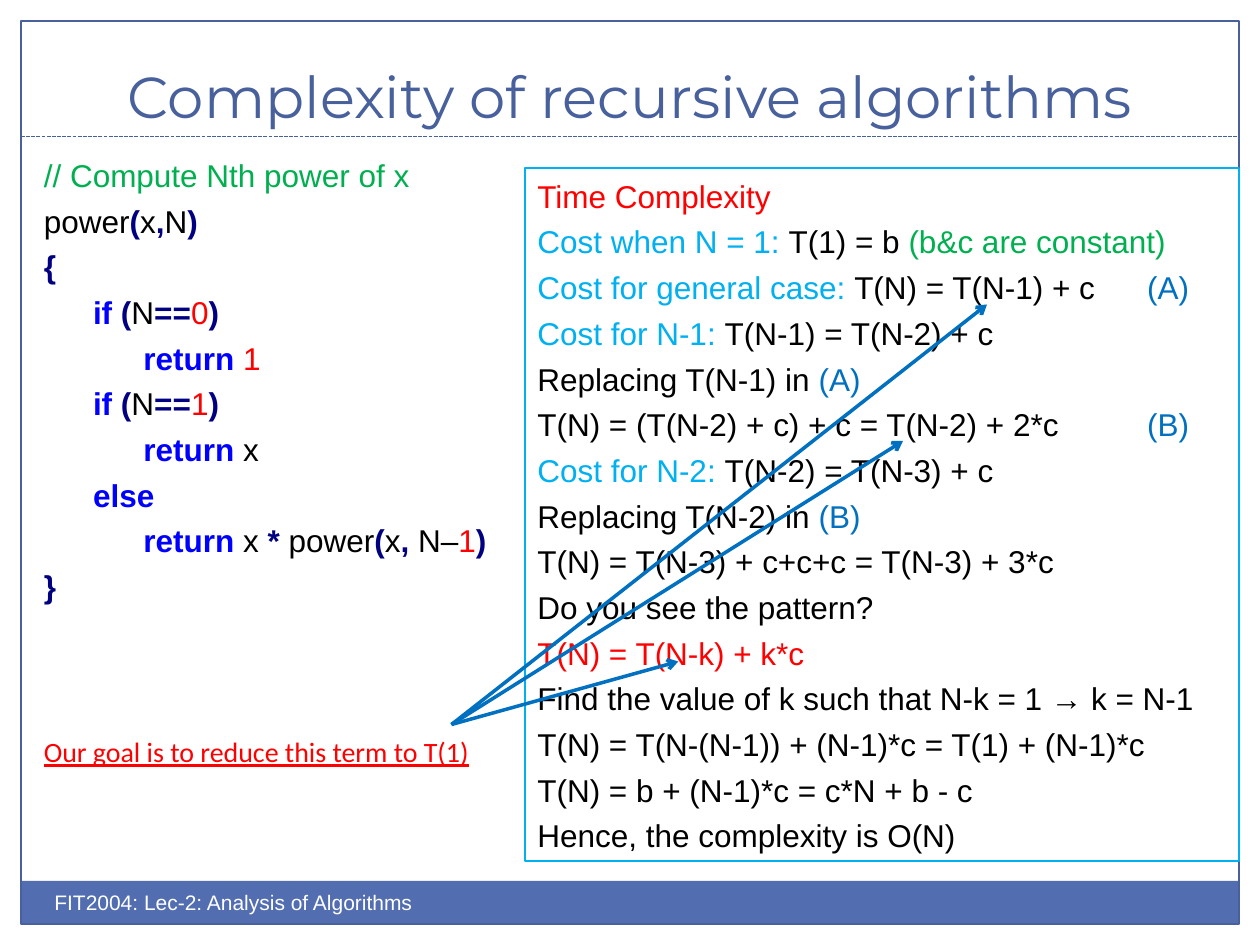
import pptx
import pptx.dml.color
import pptx.enum.dml
import pptx.enum.shapes
import pptx.enum.text
import pptx.oxml
import pptx.oxml.ns
import pptx.util

COLUMNS, ROWS = 120, 90  # twelve grid units to the inch
COLORS = {
    "frame": "48609B", "band": "526DB0", "white": "FFFFFF", "black": "000000",
    "green": "00B050", "red": "FF0000", "navy": "000080", "blue": "0000FF",
    "sky": "00B0F0", "ocean": "0070C0",
}
# Text roles: the format values of a run
FORMATS = {
    "title": {"name": "Montserrat", "size": 33, "color": "frame"},
    "footer": {"size": 12, "color": "white"},
    "goal": {"name": "Calibri", "size": 16, "color": "red", "underline": True},
    "plain": {"color": "black"},
    "comment": {"color": "green"},
    "number": {"color": "red"},
    "keyword": {"color": "blue", "bold": True},
    "symbol": {"color": "navy", "bold": True},
    "result": {"color": "red"},
    "label": {"color": "sky"},
    "tag": {"color": "ocean"},
}


class SlideBuilder:
    """Holds the style and the current slide; lengths are grid units."""

    def __init__(self, presentation):
        self.width = presentation.slide_width
        self.height = presentation.slide_height
        self.slide = presentation.slides.add_slide(presentation.slide_layouts[6])
        self.defaults = {"name": "Arial", "size": 18, "bold": False}

    def place(self, *lengths):
        scales = (self.width / COLUMNS, self.height / ROWS)
        return [round(length * scales[i % 2]) for i, length in enumerate(lengths)]

    def color(self, name):
        return pptx.dml.color.RGBColor.from_string(COLORS[name])

    def rectangle(self, area, fill=None, line=None):
        shape = self.slide.shapes.add_shape(
            pptx.enum.shapes.MSO_SHAPE.RECTANGLE, *self.place(*area))
        shape.shadow.inherit = False
        for part, name in ((shape.fill, fill), (shape.line.fill, line)):
            if name:
                part.solid()
                part.fore_color.rgb = self.color(name)
            else:
                part.background()
        if line:
            shape.line.width = pptx.util.Pt(0.75)
        return shape

    def line(self, start, end, color, width, dash=None, arrow=False):
        connector = self.slide.shapes.add_connector(
            pptx.enum.shapes.MSO_CONNECTOR.STRAIGHT, *self.place(*start, *end))
        connector.line.color.rgb = self.color(color)
        connector.line.width = pptx.util.Pt(width)
        if dash:
            connector.line.dash_style = dash
        properties = connector._element.spPr
        if arrow:
            properties.get_or_add_ln().append(pptx.oxml.parse_xml(
                f'<a:tailEnd {pptx.oxml.ns.nsdecls("a")} type="arrow"/>'))
        properties.append(pptx.oxml.parse_xml(
            f'<a:effectLst {pptx.oxml.ns.nsdecls("a")}/>'))

    def text_box(self, area, lines, **options):
        shape = self.slide.shapes.add_textbox(*self.place(*area))
        self.set_text(shape, lines, **options)

    def set_text(self, shape, lines, anchor="TOP", align="LEFT", top=0.05, tabs=()):
        frame = shape.text_frame
        values = {
            "word_wrap": True,
            "vertical_anchor": pptx.enum.text.MSO_ANCHOR[anchor],
            "margin_top": pptx.util.Inches(top),
        }
        for key, value in values.items():
            setattr(frame, key, value)
        for index, runs in enumerate(lines):
            paragraph = frame.add_paragraph() if index else frame.paragraphs[0]
            paragraph.alignment = pptx.enum.text.PP_ALIGN[align]
            if index:
                # The goal stands well apart from the code above it
                space = 74 if runs[0][1] == "goal" else 4.5
                paragraph.space_before = pptx.util.Pt(space)
            if tabs and any("\t" in text for text, _ in runs):
                self.add_tabs(paragraph, tabs)
            for text, role in runs:
                self.add_run(paragraph, text, role)

    def add_tabs(self, paragraph, tabs):
        stops = "".join(f'<a:tab pos="{pptx.util.Inches(stop)}" algn="l"/>'
                        for stop in tabs)
        paragraph._p.get_or_add_pPr().append(pptx.oxml.parse_xml(
            f'<a:tabLst {pptx.oxml.ns.nsdecls("a")}>{stops}</a:tabLst>'))

    def add_run(self, paragraph, text, role):
        run = paragraph.add_run()
        run.text = text
        values = {**self.defaults, **FORMATS[role]}
        run.font.color.rgb = self.color(values.pop("color"))
        values["size"] = pptx.util.Pt(values["size"])
        for key, value in values.items():
            setattr(run.font, key, value)


def condition(value):
    return [("\t", "plain"), ("if", "keyword"), (" ", "plain"), ("(", "symbol"),
            ("N", "plain"), ("==", "symbol"), (value, "number"), (")", "symbol")]


def returned(*runs):
    return [("\t\t", "plain"), ("return", "keyword"), *runs]


CODE = [
    [("// Compute Nth power of x", "comment")],
    [("power", "plain"), ("(", "symbol"), ("x", "plain"), (",", "symbol"),
     ("N", "plain"), (")", "symbol")],
    [("{", "symbol")],
    condition("0"),
    returned((" ", "plain"), ("1", "number")),
    condition("1"),
    returned((" x", "plain")),
    [("\t", "plain"), ("else", "keyword")],
    returned((" x ", "plain"), ("*", "symbol"), (" power", "plain"), ("(", "symbol"),
             ("x", "plain"), (",", "symbol"), (" N–", "plain"), ("1", "number"),
             (")", "symbol")),
    [("}", "symbol")],
    [("Our goal is to reduce this term to T(1)", "goal")],
]

ANALYSIS = [
    [("Time Complexity", "result")],
    [("Cost when N = 1: ", "label"), ("T(1) = b ", "plain"),
     ("(b&c are constant)", "comment")],
    [("Cost for general case: ", "label"), ("T(N) = T(N-1) + c\t", "plain"),
     ("(A)", "tag")],
    [("Cost for N-1: ", "label"), ("T(N-1) = T(N-2) + c", "plain")],
    [("Replacing T(N-1) in ", "plain"), ("(A)", "tag")],
    [("T(N) = (T(N-2) + c) + c = T(N-2) + 2*c\t", "plain"), ("(B)", "tag")],
    [("Cost for N-2: ", "label"), ("T(N-2) = T(N-3) + c", "plain")],
    [("Replacing T(N-2) in ", "plain"), ("(B)", "tag")],
    [("T(N) = T(N-3) + c+c+c = T(N-3) + 3*c", "plain")],
    [("Do you see the pattern?", "plain")],
    [("T(N) = T(N-k) + k*c", "result")],
    [("Find the value of k such that N-k = 1 → k = N-1", "plain")],
    [("T(N) = T(N-(N-1)) + (N-1)*c = T(1) + (N-1)*c", "plain")],
    [("T(N) = b + (N-1)*c = c*N + b - c", "plain")],
    [("Hence, the complexity is O(N)", "plain")],
]


def main():
    presentation = pptx.Presentation()
    presentation.slide_width = pptx.util.Inches(10)
    presentation.slide_height = pptx.util.Inches(7.5)
    builder = SlideBuilder(presentation)

    # Frame, footer band and title rule
    builder.rectangle((2, 83.9, 116, 4.1), fill="band")
    builder.rectangle((2, 2, 116, 86), line="frame")
    builder.line((2, 13), (118, 13), "frame", 0.75,
                 dash=pptx.enum.dml.MSO_LINE.SQUARE_DOT)

    # Title and footer
    builder.text_box((4, 3, 112, 10), [[("Complexity of recursive algorithms", "title")]],
                     anchor="BOTTOM", align="CENTER")
    builder.text_box((4, 84.1, 60, 4.8),
                     [[("FIT2004: Lec-2: Analysis of Algorithms", "footer")]])

    # Code on the left, cost analysis on the right
    builder.text_box((3, 14, 47, 46), CODE, top=0.07, tabs=(0.39, 0.79))
    panel = builder.rectangle((50, 16, 68, 66), line="sky")
    builder.set_text(panel, ANALYSIS, top=0.07, tabs=(4.84, 4.97))

    # Arrows from the goal to the terms it reduces
    for target in ((94, 29), (86, 42), (64.6, 63)):
        builder.line((43, 69), target, "ocean", 2, arrow=True)

    presentation.save("out.pptx")


if __name__ == "__main__":
    main()
